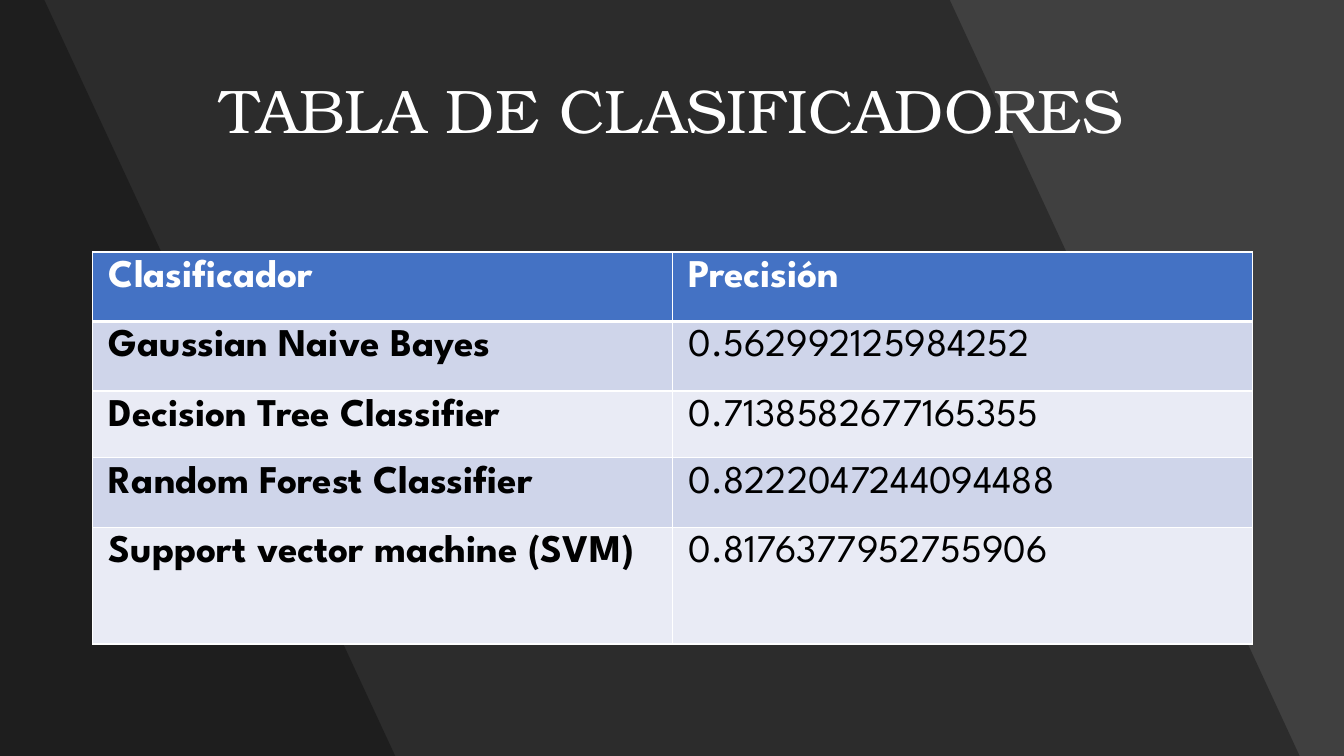
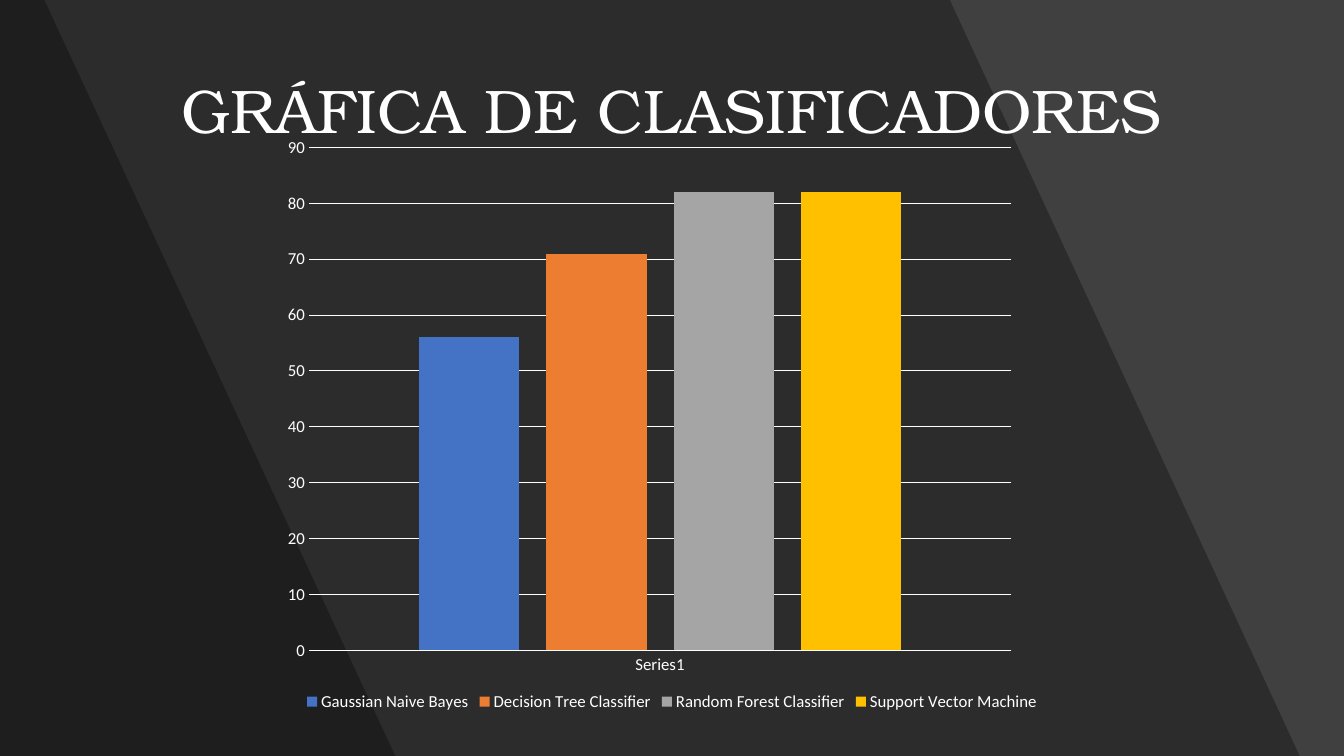
import pptx
import pptx.chart.data
import pptx.dml.color
import pptx.enum.chart
import pptx.enum.text
import pptx.oxml
import pptx.oxml.ns
import pptx.util
from dataclasses import dataclass
from pptx.util import Inches, Pt


@dataclass(frozen=True)
class Theme:
    background: str = "404040"
    band: str = "000000"
    band_opacity: int = 30
    light: str = "FFFFFF"
    dark: str = "000000"
    header: str = "4472C4"
    stripes: tuple = ("CFD5EA", "E9EBF5")
    bars: tuple = ("4472C4", "ED7D31", "A5A5A5", "FFC000")
    title_font: str = "TeX Gyre Bonum"
    table_font: str = "League Spartan"
    chart_font: str = "Calibri"
    title_size: int = 44
    table_size: int = 28
    chart_size: int = 12


THEME = Theme()
NS = pptx.oxml.ns.nsdecls("a", "c")
rgb = pptx.dml.color.RGBColor.from_string


def style_font(font, name, size, color, bold=False):
    font.name, font.size, font.bold = name, Pt(size), bold
    font.color.rgb = rgb(color)


def add_titled_slide(title):
    """Add a slide with the shared background, slanted bands and title."""
    slide = prs.slides.add_slide(prs.slide_layouts[6])
    slide.background.fill.solid()
    slide.background.fill.fore_color.rgb = rgb(THEME.background)

    for top_right, bottom_right in ((9.42, 12.89), (0.44, 3.92)):
        outline = slide.shapes.build_freeform(0, 0)
        outline.add_line_segments([
            (Inches(top_right), 0),
            (Inches(bottom_right), prs.slide_height),
            (0, prs.slide_height),
        ])
        band = outline.convert_to_shape()
        band.shadow.inherit = False
        band.line.fill.background()
        band.fill.solid()
        band.fill.fore_color.rgb = rgb(THEME.band)
        band_color = band.fill._xPr.find(".//" + pptx.oxml.ns.qn("a:srgbClr"))
        band_color.append(pptx.oxml.parse_xml(
            f'<a:alpha {NS} val="{THEME.band_opacity * 1000}"/>'))

    frame = slide.shapes.add_textbox(
        Inches(0.91), Inches(0.4), Inches(11.51), Inches(1.45)).text_frame
    frame.word_wrap = True
    frame.vertical_anchor = pptx.enum.text.MSO_ANCHOR.MIDDLE
    heading = frame.paragraphs[0]
    heading.text = title
    heading.alignment = pptx.enum.text.PP_ALIGN.CENTER
    heading.line_spacing = 0.9
    style_font(heading.font, THEME.title_font, THEME.title_size, THEME.light)
    return slide


prs = pptx.Presentation()
prs.slide_width, prs.slide_height = Inches(13.33), Inches(7.5)

# Table of classifiers
slide = add_titled_slide("TABLA DE CLASIFICADORES")
results = [
    ("Clasificador", "Precisión"),
    ("Gaussian Naive Bayes", "0.562992125984252"),
    ("Decision Tree Classifier", "0.7138582677165355"),
    ("Random Forest Classifier", "0.8222047244094488"),
    ("Support vector machine (SVM)", "0.8176377952755906"),
]
row_heights = (0.69, 0.69, 0.66, 0.69, 1.16)
table = slide.shapes.add_table(
    len(results), 2, Inches(0.92), Inches(2.5), Inches(11.5),
    Inches(sum(row_heights))).table

for row, (height, texts) in enumerate(zip(row_heights, results)):
    table.rows[row].height = Inches(height)
    is_header = row == 0
    for column, text in enumerate(texts):
        cell = table.cell(row, column)
        cell.margin_left = cell.margin_right = Inches(0.16)
        cell.margin_top = cell.margin_bottom = Inches(0.08)
        label = cell.text_frame.paragraphs[0]
        label.text = text
        style_font(label.font, THEME.table_font, THEME.table_size,
                   THEME.light if is_header else THEME.dark,
                   bold=is_header or column == 0)

        # The rule between header and body is thicker than the others
        widths = {"L": 1, "R": 1, "T": 3 if row == 1 else 1,
                  "B": 3 if is_header else 1}
        for side, width in widths.items():
            cell._tc.get_or_add_tcPr().append(pptx.oxml.parse_xml(
                f'<a:ln{side} {NS} w="{Pt(width)}"><a:solidFill>'
                f'<a:srgbClr val="{THEME.light}"/></a:solidFill></a:ln{side}>'))
        cell.fill.solid()
        cell.fill.fore_color.rgb = rgb(
            THEME.header if is_header else THEME.stripes[(row - 1) % 2])

# Chart of classifiers
slide = add_titled_slide("GRÁFICA DE CLASIFICADORES")
precision = pptx.chart.data.CategoryChartData()
precision.categories = ["Series1"]
for classifier, percent in (
    ("Gaussian Naive Bayes", 56),
    ("Decision Tree Classifier", 71),
    ("Random Forest Classifier", 82),
    ("Support Vector Machine", 82),
):
    precision.add_series(classifier, [percent])

chart = slide.shapes.add_chart(
    pptx.enum.chart.XL_CHART_TYPE.COLUMN_CLUSTERED, Inches(2.75), Inches(0.62),
    Inches(7.83), Inches(6.48), precision).chart
chart.has_title = False
style_font(chart.font, THEME.chart_font, THEME.chart_size, THEME.light)

chart.has_legend = True
chart.legend.position = pptx.enum.chart.XL_LEGEND_POSITION.BOTTOM
chart.legend.include_in_layout = False
style_font(chart.legend.font, THEME.chart_font, THEME.chart_size, THEME.light)

for axis in (chart.category_axis, chart.value_axis):
    axis.major_tick_mark = pptx.enum.chart.XL_TICK_MARK.NONE
    axis.minor_tick_mark = pptx.enum.chart.XL_TICK_MARK.NONE
    style_font(axis.tick_labels.font, THEME.chart_font, THEME.chart_size,
               THEME.light)
chart.value_axis.minimum_scale = 0
chart.value_axis.maximum_scale = 90
chart.value_axis.major_unit = 10
chart.value_axis.has_major_gridlines = True
chart.value_axis.format.line.fill.background()
for line in (chart.category_axis.format.line,
             chart.value_axis.major_gridlines.format.line):
    line.color.rgb = rgb(THEME.light)
    line.width = Pt(0.75)

columns = chart.plots[0]
columns.vary_by_categories = False
columns.gap_width = 219
columns.overlap = -27
for series, color in zip(columns.series, THEME.bars):
    series.format.fill.solid()
    series.format.fill.fore_color.rgb = rgb(color)

plot_area = chart._chartSpace.chart.plotArea
for automatic_layout in plot_area.findall(pptx.oxml.ns.qn("c:layout")):
    plot_area.remove(automatic_layout)
bounds = "".join(
    f'<c:{key} val="{value}"/>' for key, value in
    (("x", 0.04), ("y", 0.13), ("w", 0.89), ("h", 0.77)))
plot_area.insert(0, pptx.oxml.parse_xml(
    f'<c:layout {NS}><c:manualLayout><c:layoutTarget val="inner"/>'
    f'<c:xMode val="edge"/><c:yMode val="edge"/>{bounds}'
    '</c:manualLayout></c:layout>'))

prs.save("out.pptx")
